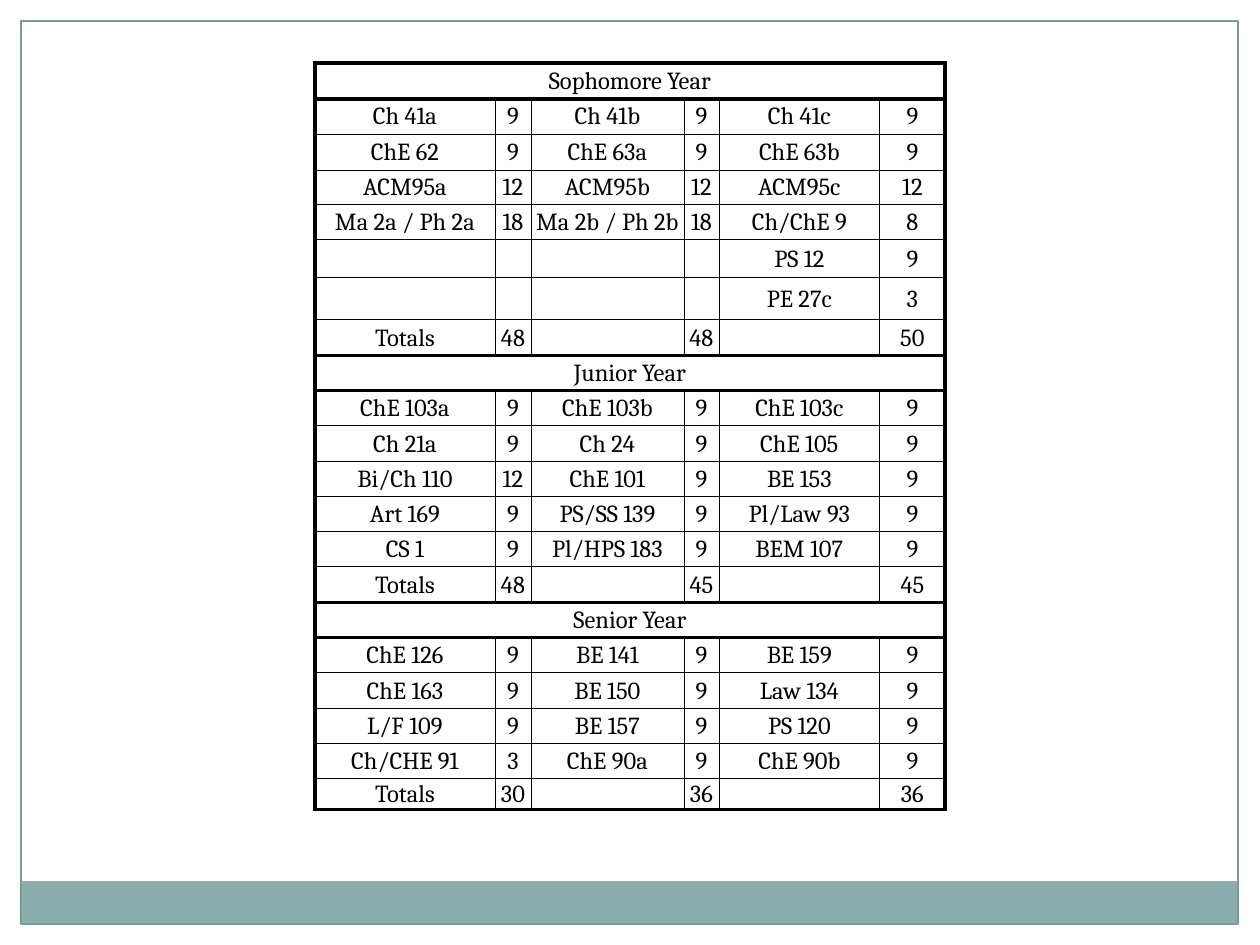
from lxml.etree import SubElement
from pptx import Presentation
from pptx.dml.color import RGBColor as RGB
from pptx.enum.shapes import MSO_SHAPE as SHAPE
from pptx.enum.text import MSO_ANCHOR as ANCHOR, PP_ALIGN as ALIGN
from pptx.oxml.ns import qn
from pptx.util import Emu, Pt

SCALE = 914400 / 126
COLORS = {"band": "8CADAE", "frame": "7C999A", "ink": "000000", "margin": "FFFFFF"}
THIN, THICK = Pt(0.5), Pt(2.25)
COLUMNS = [180, 36, 153, 35, 161, 65]
ROWS = [36, 35, 36, 35, 35, 38, 42, 36, 35, 35, 36, 35, 35, 35, 36, 35, 35, 36, 35, 35, 29]
YEARS = {
    "Sophomore Year": [
        ["Ch 41a", "9", "Ch 41b", "9", "Ch 41c", "9"],
        ["ChE 62", "9", "ChE 63a", "9", "ChE 63b", "9"],
        ["ACM95a", "12", "ACM95b", "12", "ACM95c", "12"],
        ["Ma 2a / Ph 2a", "18", "Ma 2b / Ph 2b", "18", "Ch/ChE 9", "8"],
        ["", "", "", "", "PS 12", "9"],
        ["", "", "", "", "PE 27c", "3"],
        ["Totals", "48", "", "48", "", "50"],
    ],
    "Junior Year": [
        ["ChE 103a", "9", "ChE 103b", "9", "ChE 103c", "9"],
        ["Ch 21a", "9", "Ch 24", "9", "ChE 105", "9"],
        ["Bi/Ch 110", "12", "ChE 101", "9", "BE 153", "9"],
        ["Art 169", "9", "PS/SS 139", "9", "Pl/Law 93", "9"],
        ["CS 1", "9", "Pl/HPS 183", "9", "BEM 107", "9"],
        ["Totals", "48", "", "45", "", "45"],
    ],
    "Senior Year": [
        ["ChE 126", "9", "BE 141", "9", "BE 159", "9"],
        ["ChE 163", "9", "BE 150", "9", "Law 134", "9"],
        ["L/F 109", "9", "BE 157", "9", "PS 120", "9"],
        ["Ch/CHE 91", "3", "ChE 90a", "9", "ChE 90b", "9"],
        ["Totals", "30", "", "36", "", "36"],
    ],
}


def px(n):
    """Turn pixels into EMU."""
    return Emu(round(n * SCALE))


def add_rect(slide, box, fill=None, line=None):
    """Add a plain rectangle with an optional fill and outline."""
    s = slide.shapes.add_shape(SHAPE.RECTANGLE, *map(px, box))
    s.shadow.inherit = False
    if fill:
        s.fill.solid()
        s.fill.fore_color.rgb = RGB.from_string(COLORS[fill])
    else:
        s.fill.background()
    if line:
        s.line.color.rgb = RGB.from_string(COLORS[line])
        s.line.width = Pt(0.75)
    else:
        s.line.fill.background()


def add_frame(slide, box, edge):
    """Add page margins, the bottom band and the frame line inside the box."""
    x, y, w, h = box
    for margin in ((x, y, w, edge), (x + w - edge, y, edge, h), (x, y, edge, h)):
        add_rect(slide, margin, fill="margin")
    inner_w, inner_h = w - 2 * edge - 1, h - 2 * edge
    add_rect(slide, (x + edge - 1, y + h - edge - 43, inner_w, 43), fill="band")
    add_rect(slide, (x + edge, y + edge, inner_w, inner_h), line="frame")


def set_borders(cell, widths):
    """Draw the four borders of a cell, given widths by side."""
    tc_pr = cell._tc.get_or_add_tcPr()
    for side, width in widths.items():
        ln = SubElement(tc_pr, qn("a:ln" + side), w=str(width))
        fill = SubElement(ln, qn("a:solidFill"))
        SubElement(fill, qn("a:srgbClr"), val=COLORS["ink"])


def set_text(cell, text):
    """Write centred text in a cell with narrow margins."""
    layout = {"margin_left": px(1), "margin_right": px(1), "margin_top": px(1),
              "margin_bottom": 0, "vertical_anchor": ANCHOR.MIDDLE}
    for name, value in layout.items():
        setattr(cell, name, value)
    p = cell.text_frame.paragraphs[0]
    p.alignment = ALIGN.CENTER
    if not text:
        SubElement(p._p, qn("a:endParaRPr"), sz="1400")
        return
    r = p.add_run()
    r.text = text
    for name, value in {"size": Pt(14), "name": "Cambria"}.items():
        setattr(r.font, name, value)
    r.font.color.rgb = RGB.from_string(COLORS["ink"])


def add_plan(slide, box):
    """Add the course plan table, one heavy-ruled block per year."""
    rows = [row for year, courses in YEARS.items() for row in [[year], *courses]]
    table = slide.shapes.add_table(len(rows), len(COLUMNS), *map(px, box)).table
    table.first_row = table.horz_banding = False
    for column, width in zip(table.columns, COLUMNS):
        column.width = px(width)
    last = len(COLUMNS) - 1
    for i, row in enumerate(rows):
        table.rows[i].height = px(ROWS[i])
        heading = len(row) == 1
        if heading:
            table.cell(i, 0).merge(table.cell(i, last))
        for j in range(len(COLUMNS)):
            cell = table.cell(i, j)
            heavy = {"L": heading or j == 0, "R": heading or j == last,
                     "T": heading or len(rows[i - 1]) == 1,
                     "B": heading or row[0] == "Totals"}
            set_borders(cell, {side: THICK if on else THIN for side, on in heavy.items()})
            cell.fill.background()
            set_text(cell, row[j] if j < len(row) else "")


prs = Presentation()
prs.slide_width, prs.slide_height = px(1260), px(945)
slide = prs.slides.add_slide(prs.slide_layouts[6])
add_frame(slide, (0, 0, 1260, 945), 21)
add_plan(slide, (315, 63, sum(COLUMNS), sum(ROWS)))
prs.save("out.pptx")
